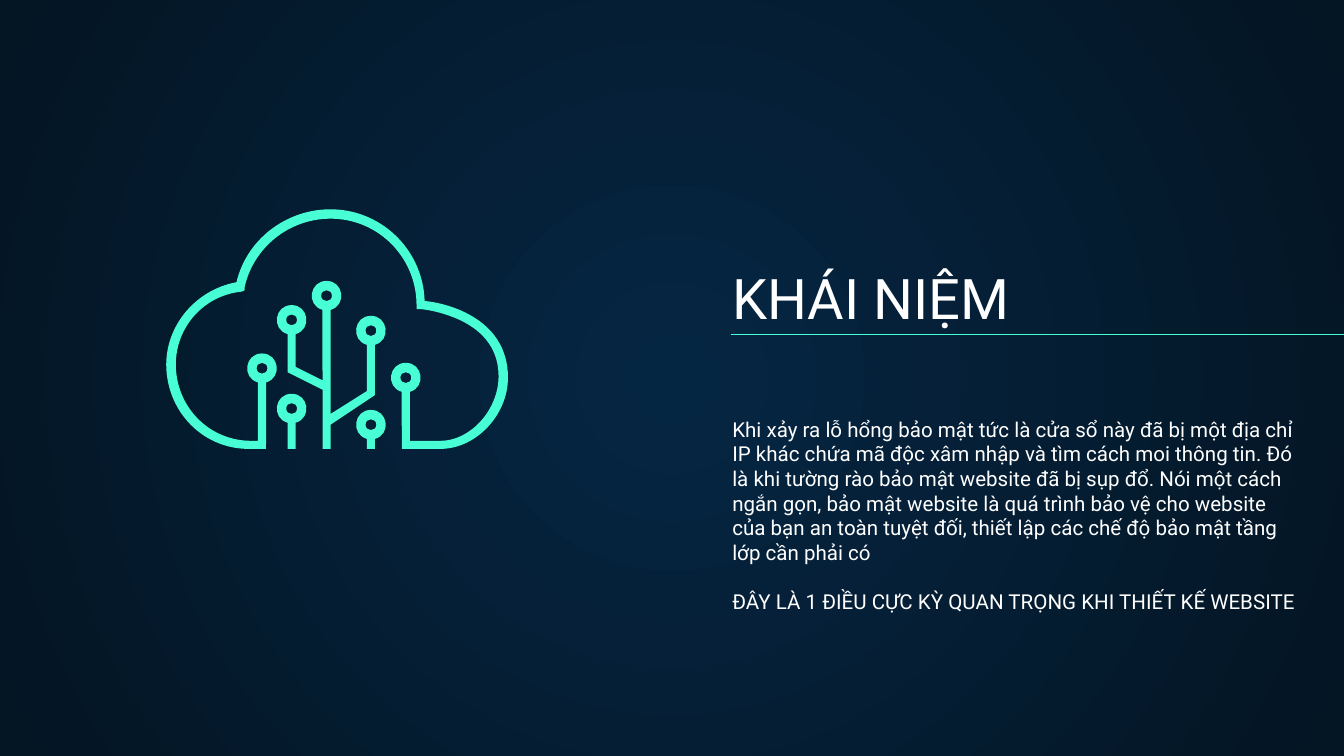
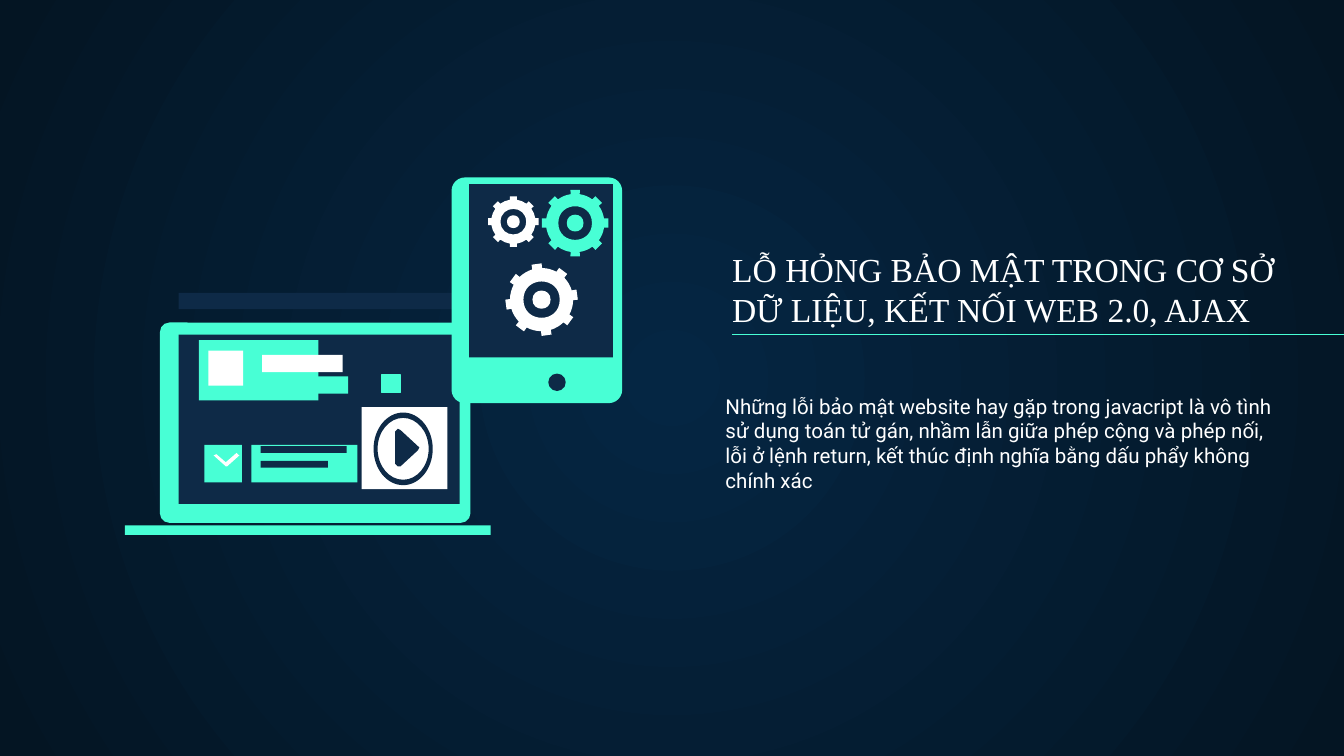
from math import cos, radians, sin, tan

from lxml import etree
from pptx import Presentation
from pptx.dml.color import RGBColor
from pptx.enum import shapes, text
from pptx.oxml.ns import qn
from pptx.util import Cm, Pt

MINT = RGBColor(0x48, 0xFF, 0xD5)
NAVY = RGBColor(0x0E, 0x2A, 0x47)
WHITE = RGBColor(0xFF, 0xFF, 0xFF)
GLOW = RGBColor(0x05, 0x26, 0x43)
NIGHT = RGBColor(0x04, 0x15, 0x23)

BODY_FONT = "Roboto"
NODE_R, NODE_HOLE, STEM = 0.11, 0.04, 0.03
STEM_ANGLE = 16


def inch(*values):
    """Turn grid units of 2.54 cm into lengths."""
    return [Cm(2.54 * v) for v in values]


def new_slide(prs):
    s = prs.slides.add_slide(prs.slide_layouts[6])
    fill = s.background.fill
    fill.gradient()
    for stop, color in zip(fill.gradient_stops, (GLOW, NIGHT)):
        stop.color.rgb = color
    lin = s._element.find(".//" + qn("a:lin"))
    circle = etree.Element(qn("a:path"), path="circle")
    etree.SubElement(circle, qn("a:fillToRect"), {side: "50000" for side in "ltrb"})
    lin.getparent().replace(lin, circle)
    return s


def add_text(s, box, paragraphs, size, font=BODY_FONT, anchor=text.MSO_ANCHOR.TOP):
    tf = s.shapes.add_textbox(*inch(*box)).text_frame
    tf.word_wrap = True
    tf.vertical_anchor = anchor
    tf.margin_left, tf.margin_top, tf.margin_right, tf.margin_bottom = inch(*[0.1] * 4)
    for i, line in enumerate(paragraphs):
        p = tf.add_paragraph() if i else tf.paragraphs[0]
        p.text = line
        p.font.size = Pt(size)
        p.font.name = font
        p.font.color.rgb = WHITE
        if i:
            p.space_before = Pt(size * 1.2)


def add_title(s, box, title, size, font, rule_left):
    """Title standing on a thin rule that runs off the right edge."""
    add_text(s, box, [title], size, font, text.MSO_ANCHOR.BOTTOM)
    rule = s.shapes.add_connector(
        shapes.MSO_CONNECTOR.STRAIGHT, *inch(rule_left, 2.49, 10.3, 2.49))
    rule.line.color.rgb = MINT
    rule.line.width = Pt(0.75)
    etree.SubElement(rule._element.spPr, qn("a:effectLst"))


def paint(sp, color):
    sp.shadow.inherit = False
    sp.fill.solid()
    sp.fill.fore_color.rgb = color
    sp.line.fill.background()
    return sp


def add_block(s, box, color, kind=shapes.MSO_SHAPE.RECTANGLE):
    return paint(s.shapes.add_shape(kind, *inch(*box)), color)


def add_rounded(s, box, color, radius):
    sp = add_block(s, box, color, shapes.MSO_SHAPE.ROUNDED_RECTANGLE)
    sp.adjustments[0] = radius / min(box[2:])


def add_outline(parent, color, *contours):
    """One filled freeform; contours inside the first one are holes.

    A contour lists points (x, y) and cubic curves ((x, y), (x, y), (x, y)).
    """
    builder, lengths = None, []
    for start, *steps in contours:
        if builder is None:
            builder = parent.shapes.build_freeform(*inch(*start))
        else:
            builder.move_to(*inch(*start))
        vertices = []
        for step in steps:
            points = step if isinstance(step[0], tuple) else [step]
            vertices += [inch(*point) for point in points]
            lengths.append(len(points))
        builder.add_line_segments(vertices, close=True)
    sp = paint(builder.convert_to_shape(), color)

    segments = iter(list(sp._element.iter(qn("a:lnTo"))))
    for length in lengths:
        run = [next(segments) for _ in range(length)]
        if length == 3:
            bend = etree.Element(qn("a:cubicBezTo"))
            run[0].addprevious(bend)
            for segment in run:
                bend.append(segment[0])
                segment.getparent().remove(segment)


def arc(cx, cy, rx, ry=None, start=0, end=360, parts=2):
    """First point of an elliptic arc, then its cubic curves."""
    ry = ry or rx
    step = (end - start) / parts
    pull = 4 / 3 * tan(radians(step / 4))

    def at(angle, lean=0):
        c, d = cos(radians(angle)), sin(radians(angle))
        return cx + rx * (c - lean * d), cy + ry * (d + lean * c)

    angles = [start + step * i for i in range(parts)]
    return [at(start)] + [(at(a, pull), at(a + step, -pull), at(a + step))
                          for a in angles]


def curves(*points):
    """A first point, then each three points as a cubic curve."""
    return [points[0]] + [points[k:k + 3] for k in range(1, len(points), 3)]


def stem_rim(node, right_end, left_end):
    """Round node with its stem: up the right side, around, down the left."""
    x, _ = node
    return [(x + STEM, right_end),
            *arc(*node, NODE_R, start=90 - STEM_ANGLE, end=STEM_ANGLE - 270),
            (x - STEM, left_end)]


def node_hole(node):
    return arc(*node, NODE_HOLE)


def add_cloud(s):
    cloud = s.shapes.add_group_shape()
    base, floor = 3.34, 3.28

    left, top, right = (2.17, 2.38), (2.43, 2.2), (2.76, 2.46)
    tree = [*stem_rim(right, 2.94, 2.91), *stem_rim(top, 3.08, 2.83),
            *stem_rim(left, 2.73, 2.77), (2.4, 2.9),
            (2.4, base), (2.46, base), (2.46, 3.16)]
    add_outline(cloud, MINT, tree, *map(node_hole, (left, top, right)))

    west, east = (1.95, 2.74), (3.02, 2.81)
    outside = curves((3.28, base), (3.54, 3.34), (3.78, 3.09), (3.78, 2.81),
                     (3.78, 2.35), (3.29, 2.25), (3.16, 2.24),
                     (3.15, 1.88), (2.87, 1.59), (2.52, 1.56),
                     (2.17, 1.53), (1.84, 1.76), (1.76, 2.1),
                     (1.44, 2.16), (1.21, 2.45), (1.24, 2.77),
                     (1.27, 3.1), (1.54, 3.35), (1.87, base))
    inside = [*curves((1.87, floor), (1.57, 3.28), (1.33, 3.05), (1.31, 2.75),
                      (1.29, 2.46), (1.5, 2.2), (1.8, 2.17)),
              (1.82, 2.16),
              *curves((1.82, 2.14), (1.89, 1.82), (2.19, 1.6), (2.52, 1.63),
                      (2.85, 1.66), (3.1, 1.94), (3.1, 2.27)),
              (3.1, 2.3),
              *curves((3.13, 2.3), (3.23, 2.31), (3.33, 2.34), (3.42, 2.38),
                      (3.61, 2.47), (3.71, 2.61), (3.71, 2.8),
                      (3.71, 3.05), (3.5, 3.28), (3.28, floor))]
    add_outline(cloud, MINT,
                [*outside, *stem_rim(west, base, floor), *inside,
                 *stem_rim(east, floor, base)],
                node_hole(west), node_hole(east))

    for node in ((2.17, 3.04), (2.76, 3.16)):
        add_outline(cloud, MINT, stem_rim(node, base, base), node_hole(node))


def add_gear(s, cx, cy, radius, color, turn=0):
    """Gear with eight teeth, a round gap and a hub."""
    root = 0.87 * radius
    rim = []
    for tooth in range(8):
        angle = 45 * tooth + turn
        rim += arc(cx, cy, radius, start=angle - 8, end=angle + 8, parts=1)[:1]
        rim += [arc(cx, cy, radius, start=angle + 8)[0],
                *arc(cx, cy, root, start=angle + 9, end=angle + 36, parts=1)]
    add_outline(s, color, rim, arc(cx, cy, radius / 2), arc(cx, cy, radius / 4))


def add_laptop(s):
    add_rounded(s, (1.19, 2.4, 2.31, 1.49), MINT, 0.07)
    for box, color in (
            ((1.33, 2.49, 2.09, 1.26), NAVY),   # screen
            ((0.93, 3.91, 2.72, 0.07), MINT),   # base
            ((1.33, 2.18, 2.09, 0.12), NAVY),   # bar above the lid
            ((1.48, 2.53, 0.89, 0.45), MINT),   # profile card
            ((1.55, 2.61, 0.26, 0.26), WHITE),
            ((1.87, 3.31, 0.79, 0.28), MINT),   # message
            ((1.94, 3.32, 0.64, 0.05), NAVY),
            ((1.94, 3.43, 0.5, 0.05), NAVY),
            ((1.52, 3.31, 0.28, 0.28), MINT)):  # drop-down button
        add_block(s, box, color)
    add_outline(s, WHITE, [(1.76, 3.37), (1.68, 3.44), (1.61, 3.38), (1.59, 3.39),
                           (1.68, 3.47), (1.69, 3.47), (1.78, 3.39)])
    add_block(s, (1.98, 2.8, 0.61, 0.13), MINT)
    add_block(s, (1.95, 2.64, 0.6, 0.13), WHITE)
    tile = add_block(s, (2.84, 2.79, 0.14, 0.13), MINT)
    tile.line.color.rgb = MINT
    tile.line.width = Pt(0.75)
    add_block(s, (2.69, 3.03, 0.64, 0.61), WHITE)
    add_outline(s, NAVY, arc(3, 3.34, 0.22, 0.27, parts=4),
                arc(3, 3.34, 0.19, 0.23, parts=4))
    add_outline(s, NAVY, [(2.96, 3.19), (2.94, 3.21), (2.94, 3.45), (2.96, 3.47),
                          (2.98, 3.47), (3.11, 3.35), (3.12, 3.33), (3.11, 3.32),
                          (2.98, 3.2)])


def add_tablet(s):
    add_rounded(s, (3.36, 1.32, 1.27, 1.68), MINT, 0.1)
    add_block(s, (3.49, 1.37, 1.07, 1.29), NAVY)
    add_block(s, (4.08, 2.78, 0.13, 0.13), NAVY, shapes.MSO_SHAPE.OVAL)
    add_gear(s, 4.28, 1.66, 0.25, MINT)
    add_gear(s, 3.82, 1.65, 0.19, WHITE)
    add_gear(s, 4.03, 2.23, 0.27, WHITE, turn=-8)


def main():
    prs = Presentation()
    prs.slide_width, prs.slide_height = inch(10, 5.625)

    s = new_slide(prs)
    add_title(s, (5.35, 1.9, 3.86, 0.66), "KHÁI NIỆM", 30, BODY_FONT, 5.44)
    add_text(s, (5.35, 3, 4.42, 1.82), [
        "Khi xảy ra lỗ hổng bảo mật tức là cửa sổ này đã bị một địa chỉ IP khác "
        "chứa mã độc xâm nhập và tìm cách moi thông tin. Đó là khi tường rào bảo mật "
        "website đã bị sụp đổ. Nói một cách ngắn gọn, bảo mật website là quá trình "
        "bảo vệ cho website của bạn an toàn tuyệt đối, thiết lập các chế độ bảo mật "
        "tầng lớp cần phải có",
        "ĐÂY LÀ 1 ĐIỀU CỰC KỲ QUAN TRỌNG KHI THIẾT KẾ WEBSITE"], 11)
    add_cloud(s)

    s = new_slide(prs)
    add_title(s, (5.35, 1.89, 4.34, 0.66),
              "LỖ HỎNG BẢO MẬT TRONG CƠ SỞ DỮ LIỆU, KẾT NỐI WEB 2.0, AJAX",
              18, "Times New Roman", 5.45)
    add_text(s, (5.3, 2.83, 4.34, 1.02), [
        "Những lỗi bảo mật website hay gặp trong javacript là vô tình sử dụng toán "
        "tử gán, nhầm lẫn giữa phép cộng và phép nối, lỗi ở lệnh return, kết thúc "
        "định nghĩa bằng dấu phẩy không chính xác"], 11)
    add_laptop(s)
    add_tablet(s)

    prs.save("out.pptx")


if __name__ == "__main__":
    main()
